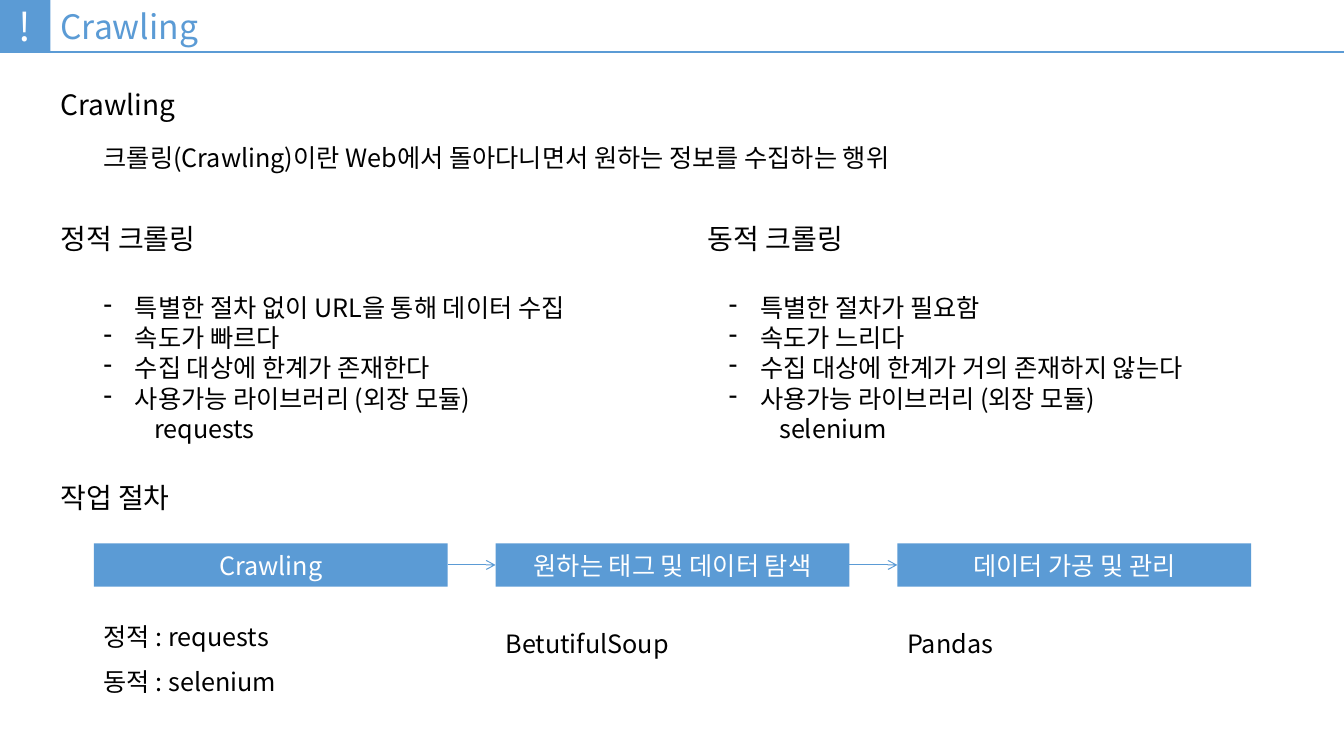
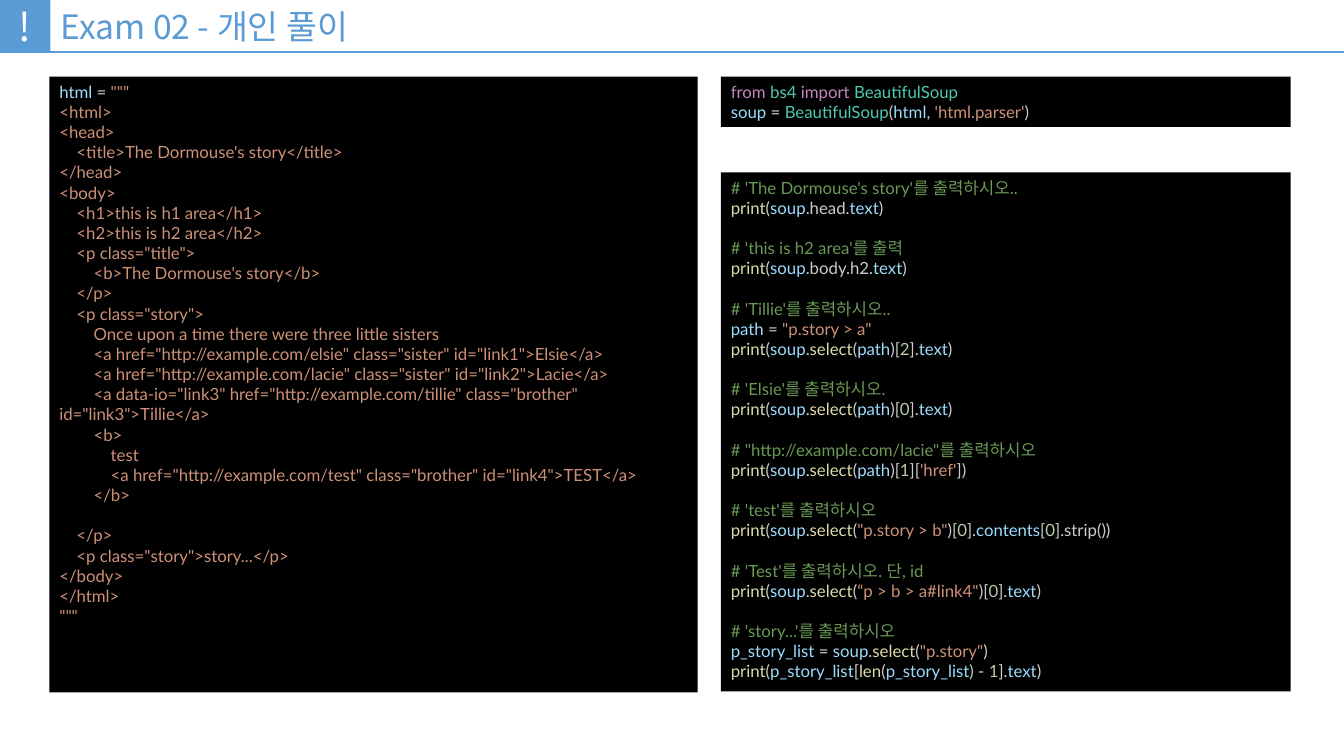
from itertools import groupby

from pptx import Presentation
from pptx.dml.color import RGBColor
from pptx.enum.shapes import MSO_CONNECTOR, MSO_SHAPE
from pptx.enum.text import MSO_ANCHOR, MSO_AUTO_SIZE, PP_ALIGN
from pptx.oxml.ns import qn
from pptx.util import Inches, Pt

RECTANGLE = MSO_SHAPE.RECTANGLE
STRAIGHT = MSO_CONNECTOR.STRAIGHT
TOP, MIDDLE = MSO_ANCHOR.TOP, MSO_ANCHOR.MIDDLE
LEFT, CENTER = PP_ALIGN.LEFT, PP_ALIGN.CENTER

BLUE, WHITE, BLACK = "5B9BD5", "FFFFFF", "000000"
VARIABLE, FUNCTION, CLASS, KEYWORD = "9CDCFE", "DCDCAA", "4EC9B0", "C586C0"
STRING, NUMBER, OPERATOR, COMMENT, PLAIN = "CE9178", "B5CEA8", "D4D4D4", "6A9955", "CCCCCC"
BODY_FONT, CODE_FONT = "Noto Sans CJK KR", "Lato"

SLIDE_WIDTH, SLIDE_HEIGHT = 13.33, 7.5
BAND_HEIGHT, BADGE_WIDTH = 0.52, 0.5
CODE_INDENT, CODE_LINE = 0.17, 14.4

HEADINGS = [
    ("Crawling", 0.5, 0.87),
    ("정적 크롤링", 0.5, 2.2),
    ("동적 크롤링", 6.92, 2.2),
    ("작업 절차", 0.5, 4.77),
]
DEFINITION = "크롤링(Crawling)이란 Web에서 돌아다니면서 원하는 정보를 수집하는 행위"
COMPARISON = [
    (0.93, ["특별한 절차 없이 URL을 통해 데이터 수집", "속도가 빠르다",
            "수집 대상에 한계가 존재한다", "사용가능 라이브러리 (외장 모듈)"], "requests"),
    (7.13, ["특별한 절차가 필요함", "속도가 느리다",
            "수집 대상에 한계가 거의 존재하지 않는다", "사용가능 라이브러리 (외장 모듈)"], "selenium"),
]
STEPS = [
    ("Crawling", ["정적 : requests", "동적 : selenium"], MIDDLE),
    ("원하는 태그 및 데이터 탐색", ["BetutifulSoup"], TOP),
    ("데이터 가공 및 관리", ["Pandas"], TOP),
]
FIRST_STEP_LEFT, LAST_STEP_LEFT, STEP_WIDTH = 0.93, 8.9, 3.51

HTML_CODE = '''html = """
<html>
<head>
    <title>The Dormouse's story</title>
</head>
<body>
    <h1>this is h1 area</h1>
    <h2>this is h2 area</h2>
    <p class="title">
        <b>The Dormouse's story</b>
    </p>
    <p class="story">
        Once upon a time there were three little sisters
        <a href="http://example.com/elsie" class="sister" id="link1">Elsie</a>
        <a href="http://example.com/lacie" class="sister" id="link2">Lacie</a>
        <a data-io="link3" href="http://example.com/tillie" class="brother" id="link3">Tillie</a>
        <b>
            test
            <a href="http://example.com/test" class="brother" id="link4">TEST</a>
        </b>

    </p>
    <p class="story">story...</p>
</body>
</html>
"""'''
SOUP_CODE = '''from bs4 import BeautifulSoup
soup = BeautifulSoup(html, 'html.parser')'''
QUERY_CODE = '''# 'The Dormouse's story'를 출력하시오..
print(soup.head.text)

# 'this is h2 area'를 출력
print(soup.body.h2.text)

# 'Tillie'를 출력하시오..
path = "p.story > a"
print(soup.select(path)[2].text)

# 'Elsie'를 출력하시오.
print(soup.select(path)[0].text)

# "http://example.com/lacie"를 출력하시오
print(soup.select(path)[1]['href'])

# 'test'를 출력하시오
print(soup.select("p.story > b")[0].contents[0].strip())

# 'Test'를 출력하시오. 단, id
print(soup.select(“p > b > a#link4")[0].text)

# 'story...'를 출력하시오
p_story_list = soup.select("p.story")
print(p_story_list[len(p_story_list) - 1].text)'''
WORD_COLOURS = {
    **dict.fromkeys(["from", "import"], KEYWORD),
    **dict.fromkeys(["bs4", "BeautifulSoup"], CLASS),
    **dict.fromkeys(["print", "select", "len"], FUNCTION),
    **dict.fromkeys(["html", "soup", "path", "text", "contents", "p_story_list"], VARIABLE),
}
CLOSING_QUOTES = {"'": "'", '"': '"', "“": '"'}


def rgb(colour):
    return RGBColor.from_string(colour)


def box(left, top, width, height):
    return [Inches(value) for value in (left, top, width, height)]


def is_word(character):
    return character.isalnum() or character == "_"


def code_runs(line):
    if line.startswith("#"):
        return [(line, COMMENT)]
    tokens, start, colour = [], 0, PLAIN
    while start < len(line):
        character, end = line[start], start + 1
        if character in CLOSING_QUOTES:
            end = line.find(CLOSING_QUOTES[character], end) + 1 or len(line)
            colour = STRING
        elif is_word(character):
            while end < len(line) and is_word(line[end]):
                end += 1
            word = line[start:end]
            colour = NUMBER if word.isdigit() else WORD_COLOURS.get(word, PLAIN)
        elif character != " ":
            colour = OPERATOR if character in "=-" else PLAIN
        tokens.append((line[start:end], colour))
        start = end
    return [("".join(token for token, _ in group), shade)
            for shade, group in groupby(tokens, key=lambda token: token[1])]


def markup_runs(line):
    return code_runs(line) if line.startswith("html =") else [(line, STRING)]


def write(shape, paragraphs, size=18, colour=BLACK, font=BODY_FONT, align=LEFT,
          anchor=MIDDLE, spacing=None):
    frame = shape.text_frame
    frame.word_wrap = True
    frame.auto_size = MSO_AUTO_SIZE.NONE
    frame.vertical_anchor = anchor
    for index, content in enumerate(paragraphs):
        paragraph = frame.add_paragraph() if index else frame.paragraphs[0]
        paragraph.alignment = align
        if spacing:
            paragraph.line_spacing = spacing
        runs = [(content, colour)] if isinstance(content, str) else content
        for text, run_colour in runs:
            run = paragraph.add_run()
            run.text = text
            run.font.size = Pt(size)
            run.font.name = font
            run.font.color.rgb = rgb(run_colour)
            if font == BODY_FONT:
                east_asian = run.font._element.makeelement(qn("a:ea"), {"typeface": font})
                run.font._element.find(qn("a:latin")).addnext(east_asian)
    return shape


def add_text(slide, position, paragraphs, **text_format):
    return write(slide.shapes.add_textbox(*box(*position)), paragraphs, **text_format)


def add_rectangle(slide, position, fill, paragraphs, **text_format):
    shape = slide.shapes.add_shape(RECTANGLE, *box(*position))
    shape.shadow.inherit = False
    shape.fill.solid()
    shape.fill.fore_color.rgb = rgb(fill)
    shape.line.fill.background()
    return write(shape, paragraphs, **text_format)


def add_line(slide, start, end, width):
    points = [Inches(value) for value in (*start, *end)]
    line = slide.shapes.add_connector(STRAIGHT, *points)
    line.line.color.rgb = rgb(BLUE)
    line.line.width = Pt(width)
    properties = line._element.spPr
    properties.append(properties.makeelement(qn("a:effectLst"), {}))
    return line


def add_arrow(slide, source, target):
    arrow = add_line(slide, (0, 0), (1, 1), 0.75)
    arrow.begin_connect(source, 3)
    arrow.end_connect(target, 1)
    outline = arrow.line._get_or_add_ln()
    outline.append(outline.makeelement(qn("a:tailEnd"), {"type": "arrow"}))


def indent_paragraph(paragraph, margin, indent, bullet=None):
    properties = paragraph._p.get_or_add_pPr()
    properties.set("marL", str(Inches(margin)))
    properties.set("indent", str(Inches(indent)))
    if bullet:
        properties.append(properties.makeelement(qn("a:buChar"), {"char": bullet}))


def add_code(slide, position, code, colourize):
    lines = code.split("\n")
    shown = [line for line in lines if line]
    shape = add_rectangle(slide, position, BLACK, [colourize(line.strip()) for line in shown],
                          size=12, font=CODE_FONT, anchor=TOP)
    paragraphs = iter(shape.text_frame.paragraphs)
    previous = None
    for line in lines:
        if line:
            paragraph = next(paragraphs)
            level = (len(line) - len(line.lstrip())) // 4
            if level:
                indent_paragraph(paragraph, 0, level * CODE_INDENT)
            if previous == "":
                paragraph.space_before = Pt(CODE_LINE)
        previous = line


def add_titled_slide(presentation, title):
    slide = presentation.slides.add_slide(presentation.slide_layouts[5])
    placeholder = slide.shapes.title
    placeholder.left, placeholder.top, placeholder.width, placeholder.height = box(
        BADGE_WIDTH, 0, SLIDE_WIDTH - BADGE_WIDTH, BAND_HEIGHT)
    write(placeholder, [title], size=24, colour=BLUE)
    add_rectangle(slide, (0, 0, BADGE_WIDTH, BAND_HEIGHT), BLUE, ["!"],
                  size=28, colour=WHITE, align=CENTER)
    add_line(slide, (0, BAND_HEIGHT), (SLIDE_WIDTH, BAND_HEIGHT), 1.5)
    return slide


def build_crawling(presentation):
    slide = add_titled_slide(presentation, "Crawling")
    for heading, left, top in HEADINGS:
        add_text(slide, (left, top, 3.76, 0.33), [heading], size=20)
    add_text(slide, (0.93, 1.3, 11.97, 0.53), [DEFINITION])
    for left, points, library in COMPARISON:
        shape = add_text(slide, (left, 2.63, 5.08, 2.04), points + [library])
        *bullets, last = shape.text_frame.paragraphs
        for paragraph in bullets:
            indent_paragraph(paragraph, 0.31, -0.31, "-")
        last.level = 1
        indent_paragraph(last, 0.5, 0)
    pitch = (LAST_STEP_LEFT - FIRST_STEP_LEFT) / (len(STEPS) - 1)
    boxes = []
    for index, (step, tools, anchor) in enumerate(STEPS):
        left = FIRST_STEP_LEFT + index * pitch
        boxes.append(add_rectangle(slide, (left, 5.39, STEP_WIDTH, 0.43), BLUE, [step],
                                   colour=WHITE, align=CENTER))
        add_text(slide, (left, 6.03, STEP_WIDTH, 0.87), tools, anchor=anchor, spacing=1.5)
    for source, target in zip(boxes, boxes[1:]):
        add_arrow(slide, source, target)


def build_exam(presentation):
    slide = add_titled_slide(presentation, "Exam 02 - 개인 풀이")
    add_code(slide, (0.49, 0.76, 6.43, 6.11), HTML_CODE, markup_runs)
    add_code(slide, (7.15, 0.76, 5.65, 0.5), SOUP_CODE, code_runs)
    add_code(slide, (7.15, 1.71, 5.65, 5.15), QUERY_CODE, code_runs)


def main():
    presentation = Presentation()
    presentation.slide_width = Inches(SLIDE_WIDTH)
    presentation.slide_height = Inches(SLIDE_HEIGHT)
    build_crawling(presentation)
    build_exam(presentation)
    presentation.save("out.pptx")


if __name__ == "__main__":
    main()
